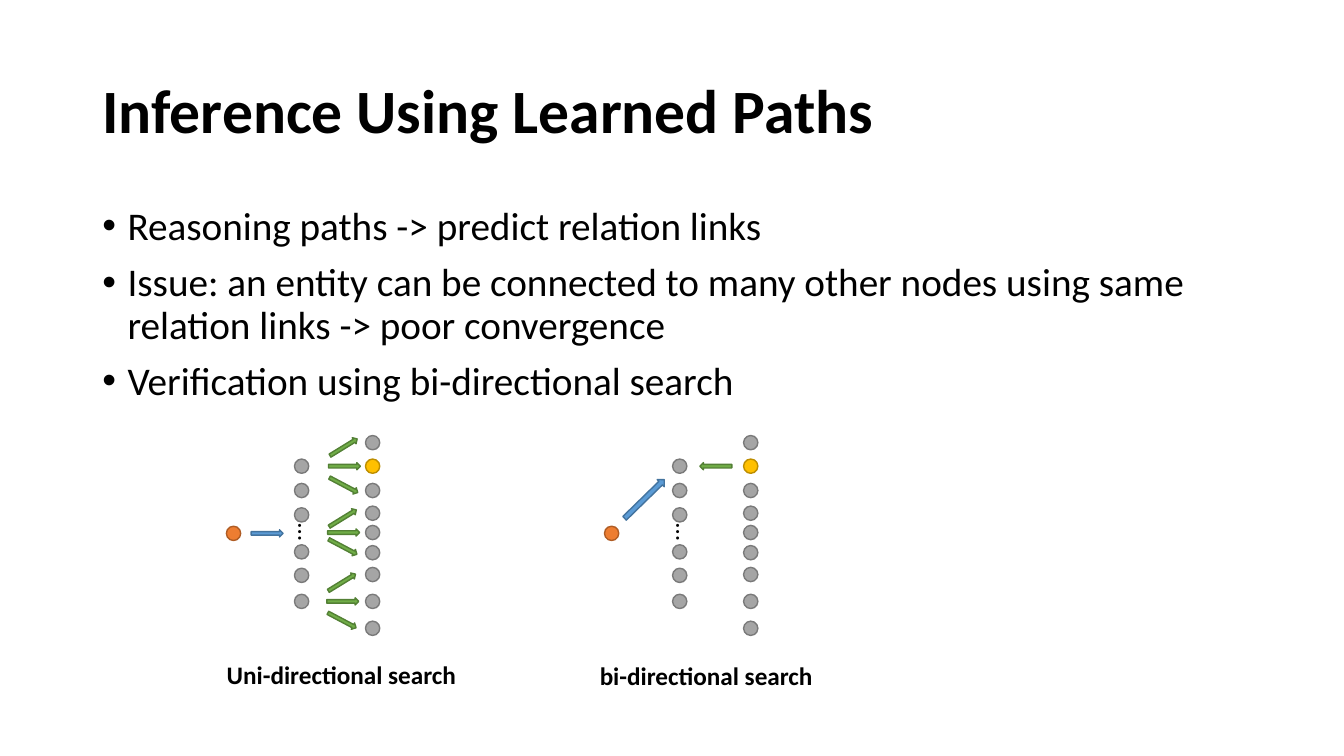
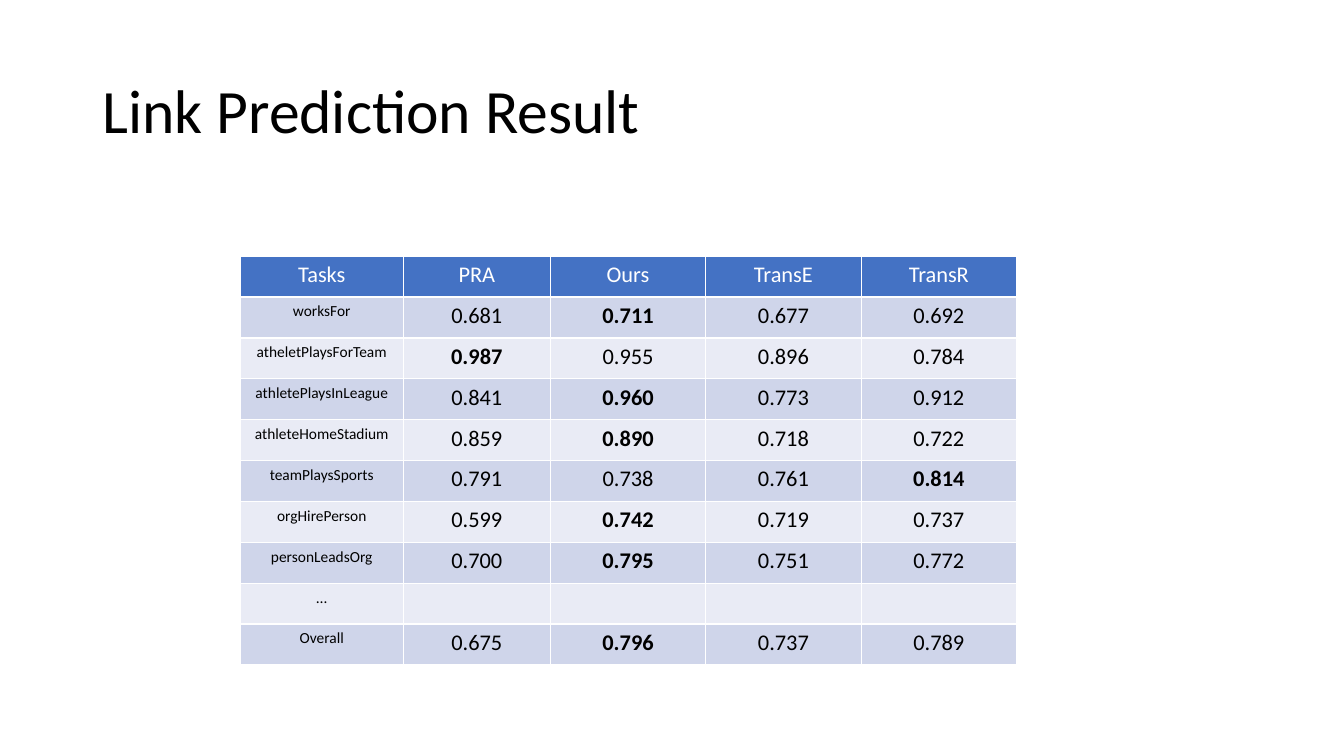
from dataclasses import dataclass
from typing import Optional

from lxml.etree import SubElement
from pptx import Presentation
from pptx.dml.color import RGBColor
from pptx.enum.shapes import MSO_SHAPE as Preset
from pptx.enum.text import MSO_ANCHOR as Anchor, PP_ALIGN as Align
from pptx.oxml.ns import qn
from pptx.slide import Slide
from pptx.text.text import TextFrame
from pptx.util import Emu, Inches, Pt

SLIDE_WIDTH, SLIDE_HEIGHT = Inches(13.33), Inches(7.5)
GRID_ROWS = 90
CELL = SLIDE_HEIGHT / GRID_ROWS
FONT = "Calibri"
BLACK, WHITE = "000000", "FFFFFF"
MARGIN, CONTENT_WIDTH = 11, 138
BULLET_INDENT = 3
NODE_SIZE = 1.7
MIDDLE_COLUMN, RIGHT_COLUMN = 8.1, 16.55
START_ROW, GOAL_ROW = 63.5, 55.5
MIDDLE_ROWS = (55.5, 58.4, 61.3, 65.7, 68.5, 71.6)
RIGHT_ROWS = (52.7, GOAL_ROW, 58.4, 61.1, 63.4, 65.8, 68.4, 71.6, 74.8)


@dataclass(frozen=True)
class Box:
    column: float
    row: float
    width: float
    height: float


@dataclass(frozen=True)
class Paint:
    fill: str
    line: str


@dataclass(frozen=True)
class Arrow:
    column: float
    row: float
    paint: Paint
    angle: float = 0
    length: float = 3.8
    thickness: float = 0.85


@dataclass(frozen=True)
class SearchGraph:
    column: float
    caption: str
    caption_box: Box
    arrows: tuple[Arrow, ...]


START = Paint("ED7D31", "AF5C24")
GOAL = Paint("FFC000", "BD8E00")
NODE = Paint("A5A5A5", "7A7A7A")
FORWARD = Paint("5B9BD5", "43739E")
EXPAND = Paint("70AD47", "538035")


def fan(column: float, row: float, spread: float) -> tuple[Arrow, ...]:
    return (
        Arrow(column, row - spread, EXPAND, 328.4),
        Arrow(column + 0.1, row, EXPAND),
        Arrow(column, row + spread, EXPAND, 27.9),
    )


GRAPHS = (
    SearchGraph(
        27.8, "Uni-directional search", Box(25.8, 77.9, 29.9, 4.8),
        (Arrow(4, START_ROW, FORWARD), *fan(13.1, GOAL_ROW, 2.25),
         *fan(13, START_ROW - 0.1, 1.7), *fan(12.9, 71.6, 2.25)),
    ),
    SearchGraph(
        72.8, "bi-directional search", Box(70.2, 78, 28, 4.8),
        (Arrow(3.9, 59.4, FORWARD, 315.7, 6.6, 1.2),
         Arrow(12.4, GOAL_ROW, EXPAND, 180)),
    ),
)

BULLETS = (
    "Reasoning paths -> predict relation links",
    "Issue: an entity can be connected to many other nodes using same "
    "relation links -> poor convergence",
    "Verification using bi-directional search",
)

METHODS = ("Tasks", "PRA", "Ours", "TransE", "TransR")
RESULTS = (
    ("worksFor", "0.681", "0.711", "0.677", "0.692"),
    ("atheletPlaysForTeam", "0.987", "0.955", "0.896", "0.784"),
    ("athletePlaysInLeague", "0.841", "0.960", "0.773", "0.912"),
    ("athleteHomeStadium", "0.859", "0.890", "0.718", "0.722"),
    ("teamPlaysSports", "0.791", "0.738", "0.761", "0.814"),
    ("orgHirePerson", "0.599", "0.742", "0.719", "0.737"),
    ("personLeadsOrg", "0.700", "0.795", "0.751", "0.772"),
    ("…", "", "", "", ""),
    ("Overall", "0.675", "0.796", "0.737", "0.789"),
)
COLUMN_WIDTHS = (19.4, 17.5, 18.5, 18.5, 18.5)
ROW_HEIGHT = 4.87
HEADER_FILL = "4472C4"
BAND_FILLS = ("CFD5EA", "E9EBF5")


def color(code: str) -> RGBColor:
    return RGBColor.from_string(code)


def cells(count: float) -> Emu:
    return Emu(round(count * CELL))


def place(box: Box) -> tuple[Emu, Emu, Emu, Emu]:
    return cells(box.column), cells(box.row), cells(box.width), cells(box.height)


def centered(column: float, row: float, width: float, height: float) -> Box:
    return Box(column - width / 2, row - height / 2, width, height)


def write(frame: TextFrame, *texts: str, size: float, ink: str = BLACK,
          bold: bool = False, align: Align = Align.LEFT,
          line_spacing: Optional[float] = None, space_before: float = 0,
          bullet: Optional[str] = None) -> None:
    for index, text in enumerate(texts):
        paragraph = frame.add_paragraph() if index else frame.paragraphs[0]
        paragraph.alignment = align
        paragraph.space_before = Pt(space_before)
        if line_spacing:
            paragraph.line_spacing = line_spacing
        if bullet:
            properties = paragraph._p.get_or_add_pPr()
            properties.set("marL", str(cells(BULLET_INDENT)))
            properties.set("indent", str(-cells(BULLET_INDENT)))
            SubElement(properties, qn("a:buFont"), typeface="Arial")
            SubElement(properties, qn("a:buChar"), char=bullet)
        run = paragraph.add_run()
        run.text = text
        run.font.name = FONT
        run.font.size = Pt(size)
        run.font.bold = bold
        run.font.color.rgb = color(ink)


def add_text(slide: Slide, box: Box, *texts: str, wrap: bool = True,
             anchor: Anchor = Anchor.TOP, rotation: float = 0, **style) -> None:
    shape = slide.shapes.add_textbox(*place(box))
    shape.rotation = rotation
    frame = shape.text_frame
    frame.word_wrap = wrap
    frame.vertical_anchor = anchor
    write(frame, *texts, **style)


def add_title(slide: Slide, text: str, bold: bool = False) -> None:
    add_text(slide, Box(MARGIN, 4.8, CONTENT_WIDTH, 17.4), text, size=44,
             bold=bold, anchor=Anchor.MIDDLE, line_spacing=0.9)


def add_preset(slide: Slide, preset: Preset, box: Box, paint: Paint,
               rotation: float = 0) -> None:
    shape = slide.shapes.add_shape(preset, *place(box))
    shape.shadow.inherit = False
    shape.rotation = rotation
    shape.fill.solid()
    shape.fill.fore_color.rgb = color(paint.fill)
    shape.line.color.rgb = color(paint.line)
    shape.line.width = Pt(1)


def add_node(slide: Slide, column: float, row: float, paint: Paint) -> None:
    box = centered(column, row, NODE_SIZE, NODE_SIZE)
    add_preset(slide, Preset.OVAL, box, paint)


def add_graph(slide: Slide, graph: SearchGraph) -> None:
    add_node(slide, graph.column, START_ROW, START)
    for row in MIDDLE_ROWS:
        add_node(slide, graph.column + MIDDLE_COLUMN, row, NODE)
    for row in RIGHT_ROWS:
        paint = GOAL if row == GOAL_ROW else NODE
        add_node(slide, graph.column + RIGHT_COLUMN, row, paint)
    for arrow in graph.arrows:
        box = centered(graph.column + arrow.column, arrow.row,
                       arrow.length, arrow.thickness)
        add_preset(slide, Preset.RIGHT_ARROW, box, arrow.paint, arrow.angle)
    add_text(slide, centered(graph.column + 8.9, START_ROW, 4.6, 4.8), "…",
             size=18, wrap=False, rotation=90)
    add_text(slide, graph.caption_box, graph.caption, size=18, bold=True,
             wrap=False)


def add_results(slide: Slide) -> None:
    rows = (METHODS, *RESULTS)
    box = Box(28.6, 30.5, sum(COLUMN_WIDTHS), ROW_HEIGHT * len(rows))
    table = slide.shapes.add_table(len(rows), len(METHODS), *place(box)).table
    for column, width in zip(table.columns, COLUMN_WIDTHS):
        column.width = cells(width)
    for row_index, values in enumerate(rows):
        header = row_index == 0
        fill = HEADER_FILL if header else BAND_FILLS[(row_index - 1) % 2]
        best = max(values[1:])
        table.rows[row_index].height = cells(ROW_HEIGHT)
        for column_index, value in enumerate(values):
            cell = table.cell(row_index, column_index)
            cell.fill.solid()
            cell.fill.fore_color.rgb = color(fill)
            task_name = column_index == 0 and not header
            write(cell.text_frame, value, size=11 if task_name else 16,
                  ink=WHITE if header else BLACK, align=Align.CENTER,
                  bold=not header and value == best)


def main() -> None:
    presentation = Presentation()
    presentation.slide_width = SLIDE_WIDTH
    presentation.slide_height = SLIDE_HEIGHT
    blank = presentation.slide_layouts[6]

    inference = presentation.slides.add_slide(blank)
    add_title(inference, "Inference Using Learned Paths", bold=True)
    add_text(inference, Box(MARGIN, 24, CONTENT_WIDTH, 57.1), *BULLETS, size=28,
             line_spacing=0.9, space_before=10, bullet="•")
    for graph in GRAPHS:
        add_graph(inference, graph)

    prediction = presentation.slides.add_slide(blank)
    add_title(prediction, "Link Prediction Result")
    add_results(prediction)

    presentation.save("out.pptx")


if __name__ == "__main__":
    main()
